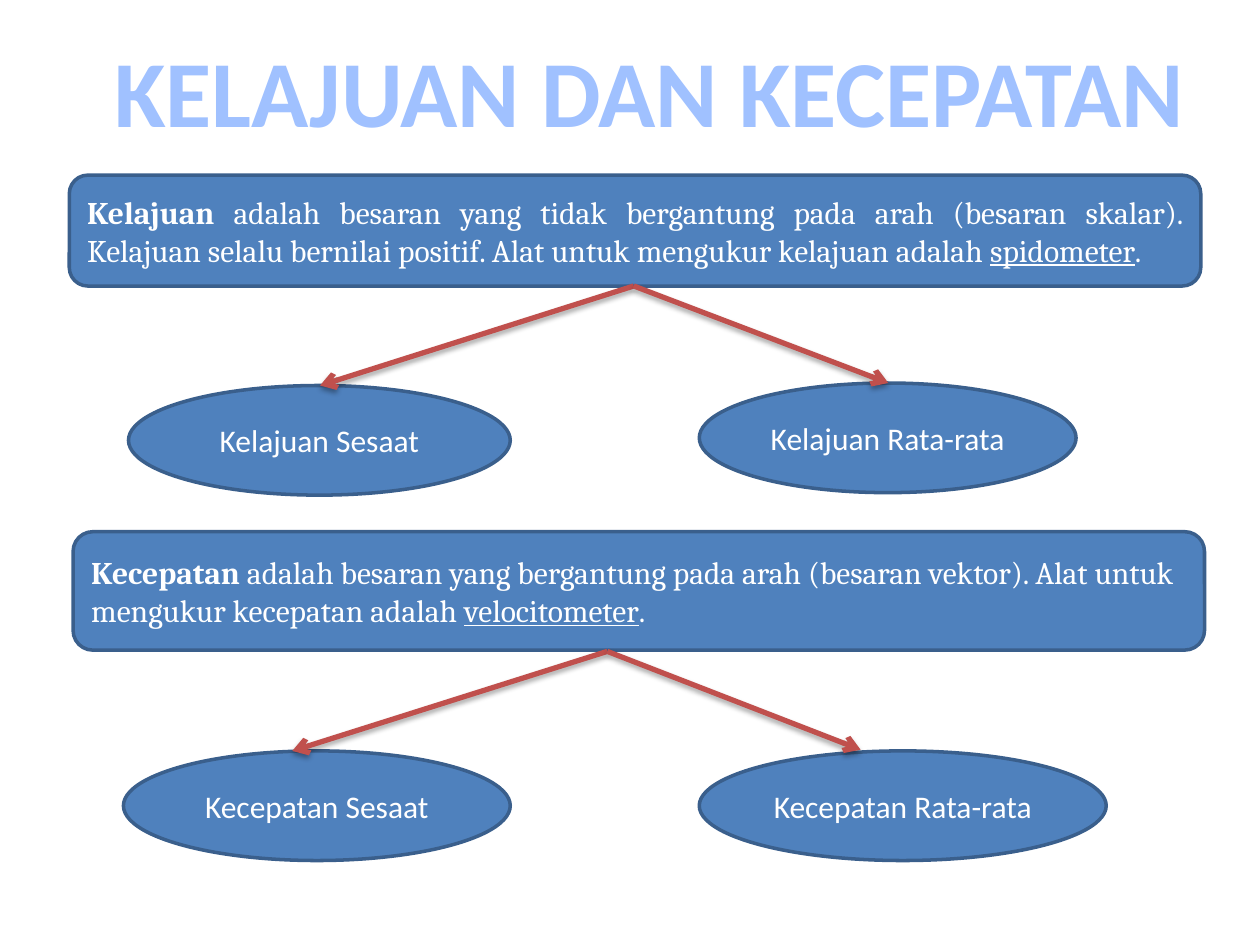
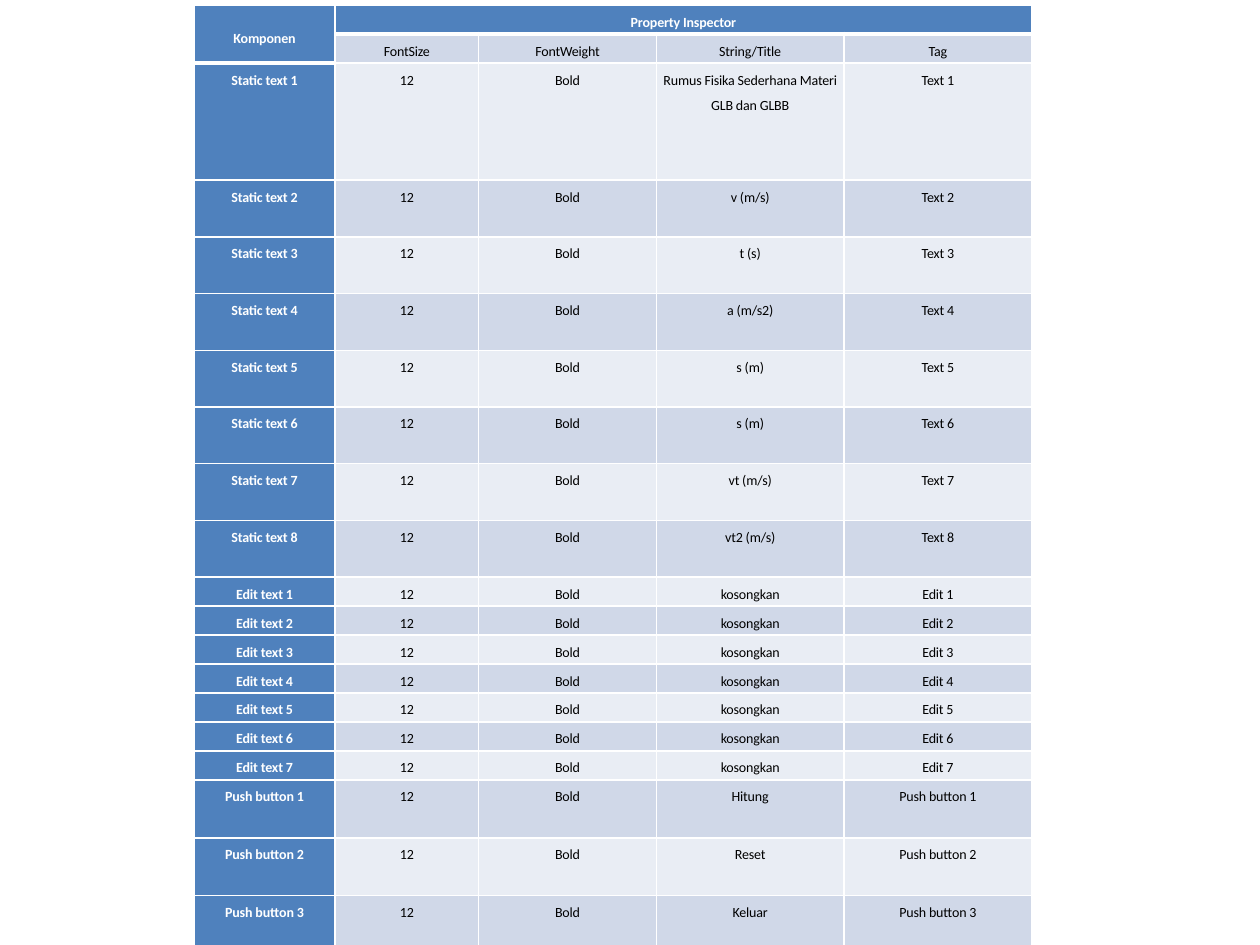
from dataclasses import dataclass
from typing import NamedTuple

from lxml.etree import SubElement as Sub
from pptx import Presentation
from pptx.dml.color import RGBColor as Rgb
from pptx.enum.shapes import MSO_CONNECTOR as Link, MSO_SHAPE as Form
from pptx.enum.text import MSO_ANCHOR as Anchor, MSO_AUTO_SIZE as Auto, PP_ALIGN as Align
from pptx.oxml import parse_xml
from pptx.oxml.ns import nsdecls, qn
from pptx.util import Inches, Pt


@dataclass(frozen=True)
class Theme:
    """Colours, fonts and sizes shared by the slides."""
    blue: str = "4F81BD"
    edge: str = "3A5F8C"
    red: str = "C0504D"
    white: str = "FFFFFF"
    black: str = "000000"
    dark: str = "D0D8E8"
    light: str = "E9EDF4"
    glow: tuple = ((0, "BFD3F9"), (9, "A0C1FF"), (50, "003D85"),
                   (79, "A0C1FF"), (100, "BFD3F9"))
    rim: str = "467AB8"
    sans: str = "Calibri"
    serif: str = "Cambria"
    title: int = 54
    body: int = 18
    small: int = 8


T = Theme()


class Run(NamedTuple):
    """A piece of text with its emphasis."""
    text: str
    bold: bool = False
    under: bool = False


class Rect(NamedTuple):
    """Left, top, width and height in inches."""
    x: float
    y: float
    w: float
    h: float


class Oval(NamedTuple):
    """A kind of quantity and the point its arrow reaches."""
    text: str
    rect: Rect
    tip: tuple


@dataclass(frozen=True)
class Group:
    """A definition box with arrows to its kinds."""
    rect: Rect
    runs: tuple
    align: Align
    start: tuple
    ovals: tuple


GROUPS = (
    Group(Rect(0.55, 1.39, 8.98, 0.88),
          (Run("Kelajuan ", bold=True),
           Run("adalah besaran yang tidak bergantung pada arah (besaran skalar). "
               "Kelajuan selalu bernilai positif. Alat untuk mengukur kelajuan adalah "),
           Run("spidometer", under=True), Run(".")),
          Align.JUSTIFY, (5.03, 2.27),
          (Oval("Kelajuan Sesaat", Rect(1.02, 3.06, 3.03, 0.87), (2.54, 3.06)),
           Oval("Kelajuan Rata-rata", Rect(5.55, 3.04, 2.99, 0.87), (7.05, 3.04)))),
    Group(Rect(0.58, 4.22, 8.98, 0.94),
          (Run("Kecepatan ", bold=True),
           Run("adalah besaran yang bergantung pada arah (besaran vektor). "
               "Alat untuk mengukur kecepatan adalah "),
           Run("velocitometer", under=True), Run(".")),
          Align.LEFT, (4.82, 5.17),
          (Oval("Kecepatan Sesaat", Rect(0.98, 5.96, 3.07, 0.87), (2.32, 5.96)),
           Oval("Kecepatan Rata-rata", Rect(5.55, 5.96, 3.23, 0.87), (6.83, 5.95)))),
)

LABELS = ("Rumus Fisika Sederhana Materi GLB dan GLBB", "v (m/s)", "t (s)",
          "a (m/s2)", "s (m)", "s (m)", "vt (m/s)", "vt2 (m/s)")
BUTTONS = ("Hitung", "Reset", "Keluar")
COLS = (1.12, 1.14, 1.41, 1.49, 1.49)
ROWS = [0.23] * 2 + [0.93] + [0.45] * 7 + [0.23] * 7 + [0.46] * 3


def write(frame, runs, *, size=T.body, font=T.sans, color=T.white,
          align=Align.CENTER, anchor=Anchor.MIDDLE, space=None, wrap=True) -> list:
    """Fill a text frame with one paragraph and return its runs."""
    frame.word_wrap = wrap
    frame.vertical_anchor = anchor
    para = frame.paragraphs[0]
    para.alignment = align
    if space:
        para.line_spacing = space
    made = []
    for part in runs:
        run = para.add_run()
        run.text = part.text
        run.font.size, run.font.name = Pt(size), font
        run.font.bold, run.font.underline = part.bold, part.under
        if color:
            run.font.color.rgb = Rgb.from_string(color)
        made.append(run)
    return made


def inch(rect: tuple) -> list:
    """Turn inches into lengths."""
    return [Inches(v) for v in rect]


def add_title(slide, text: str) -> None:
    """Add the heading with its gradient letters."""
    box = slide.shapes.add_textbox(*inch((0.76, 0.21, 8.79, 1.01)))
    run = write(box.text_frame, [Run(text, bold=True)], size=T.title, color=None,
                anchor=Anchor.TOP, wrap=False)[0]
    box.text_frame.auto_size = Auto.SHAPE_TO_FIT_TEXT
    stops = "".join(f'<a:gs pos="{pos * 1000}"><a:srgbClr val="{color}"/></a:gs>'
                    for pos, color in T.glow)
    props = run.font._element
    props.insert(0, parse_xml(
        f'<a:ln {nsdecls("a")} w="{Pt(0.83)}"><a:solidFill>'
        f'<a:srgbClr val="{T.rim}"/></a:solidFill></a:ln>'))
    props.insert(1, parse_xml(
        f'<a:gradFill {nsdecls("a")}><a:gsLst>{stops}</a:gsLst>'
        '<a:lin ang="5400000"/></a:gradFill>'))


def add_form(slide, form: Form, rect: Rect, runs, **style) -> None:
    """Add a blue shape with text."""
    shape = slide.shapes.add_shape(form, *inch(rect))
    shape.shadow.inherit = False
    shape.fill.solid()
    shape.fill.fore_color.rgb = Rgb.from_string(T.blue)
    shape.line.color.rgb = Rgb.from_string(T.edge)
    shape.line.width = Pt(2)
    write(shape.text_frame, runs, **style)


def add_arrow(slide, start: tuple, tip: tuple) -> None:
    """Add a red arrow with a soft shadow."""
    arrow = slide.shapes.add_connector(Link.STRAIGHT, *inch(start + tip))
    arrow.line.color.rgb = Rgb.from_string(T.red)
    arrow.line.width = Pt(3)
    Sub(arrow.line._get_or_add_ln(), qn("a:tailEnd"), type="arrow")
    arrow._element.spPr.append(parse_xml(
        f'<a:effectLst {nsdecls("a")}><a:outerShdw blurRad="{Pt(3.1)}" '
        f'dist="{Pt(1.8)}" dir="5400000" rotWithShape="0">'
        f'<a:srgbClr val="{T.black}"><a:alpha val="35000"/></a:srgbClr>'
        '</a:outerShdw></a:effectLst>'))


def add_group(slide, group: Group) -> None:
    """Draw a definition, its kinds and the arrows between them."""
    add_form(slide, Form.ROUNDED_RECTANGLE, group.rect, group.runs,
             font=T.serif, align=group.align)
    for oval in group.ovals:
        add_form(slide, Form.OVAL, oval.rect, [Run(oval.text)])
    for oval in group.ovals:
        add_arrow(slide, group.start, oval.tip)


def rows() -> list:
    """List the texts of the table, row by row."""
    data = [("Komponen", "Property Inspector", "", "", ""),
            ("", "FontSize", "FontWeight", "String/Title", "Tag")]
    kinds = (("Static text", "Text", LABELS),
             ("Edit text", "Edit", ("kosongkan",) * 7),
             ("Push button", "Push button", BUTTONS))
    for name, tag, labels in kinds:
        data += [(f"{name} {n}", "12", "Bold", label, f"{tag} {n}")
                 for n, label in enumerate(labels, 1)]
    return data


def set_edges(cell, top: float, bottom: float) -> None:
    """Give a cell white borders, with widths in points."""
    props = cell._tc.get_or_add_tcPr()
    sides = (("lnL", 1), ("lnR", 1), ("lnT", top), ("lnB", bottom))
    for at, (side, width) in enumerate(sides):
        props.insert(at, parse_xml(
            f'<a:{side} {nsdecls("a")} w="{Pt(width)}"><a:solidFill>'
            f'<a:srgbClr val="{T.white}"/></a:solidFill></a:{side}>'))


def set_cell(cell, row: int, col: int, text: str) -> None:
    """Format one cell by its place in the table."""
    head = row == 0 or col == 0
    band = T.dark if row % 2 else T.light
    cell.fill.solid()
    cell.fill.fore_color.rgb = Rgb.from_string(T.blue if head else band)
    cell.margin_left = cell.margin_right = Inches(0.05)
    cell.margin_top = cell.margin_bottom = 0
    corner = row < 2 and col == 0
    run = write(cell.text_frame, [Run(text, bold=head)], size=T.small,
                color=T.white if head else T.black, anchor=Anchor.TOP, space=1.5)[0]
    run.font._element.set("spc", "-10")
    cell.vertical_anchor = Anchor.MIDDLE if corner else Anchor.TOP
    below = row == (1 if col else 2)
    set_edges(cell, 3 if below else 1, 3 if row == 0 or corner else 1)


def add_grid(slide) -> None:
    """Add the table of component properties."""
    grid = slide.shapes.add_table(len(ROWS), len(COLS), *inch(
        (1.54, 0.04, sum(COLS), sum(ROWS)))).table
    for col, width in zip(grid.columns, COLS):
        col.width = Inches(width)
    for row, height in zip(grid.rows, ROWS):
        row.height = Inches(height)
    for r, texts in enumerate(rows()):
        for c, text in enumerate(texts):
            set_cell(grid.cell(r, c), r, c, text)
    grid.cell(0, 0).merge(grid.cell(1, 0))
    grid.cell(0, 1).merge(grid.cell(0, 4))


def main() -> None:
    """Build and save the slides."""
    deck = Presentation()
    deck.slide_width, deck.slide_height = Inches(10), Inches(7.5)
    blank = deck.slide_layouts[6]
    first = deck.slides.add_slide(blank)
    add_title(first, "KELAJUAN DAN KECEPATAN")
    for group in GROUPS:
        add_group(first, group)
    add_grid(deck.slides.add_slide(blank))
    deck.save("out.pptx")


main()
